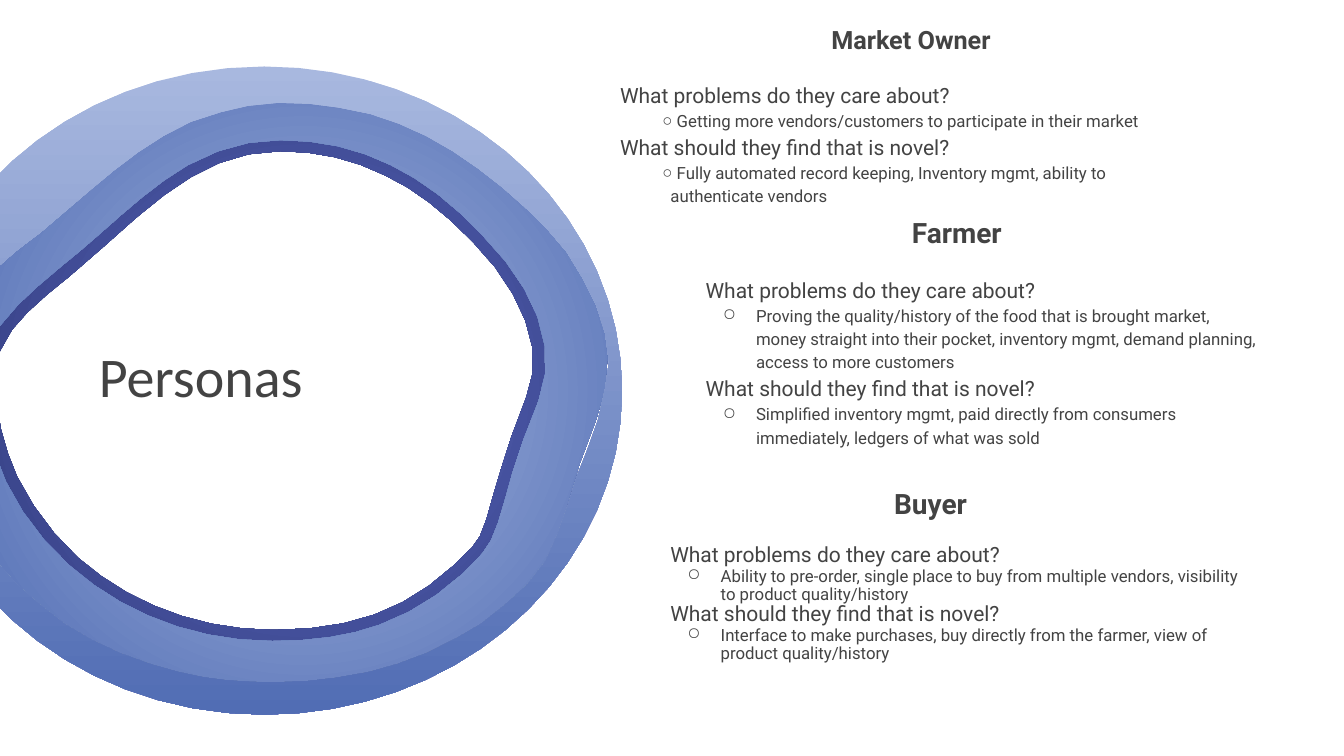
import math

import pptx
import pptx.util
import pptx.dml.color
import pptx.enum.text
import pptx.oxml
import pptx.oxml.ns
from lxml import etree

INCHES = pptx.util.Inches
INK = "434343"
LEFT_EDGE = -0.01
CURVE_STEP = 0.36

BAND_OUTER = [
    (LEFT_EDGE, 2.41), (0.08, 2.34), (0.23, 2.21, 0.39, 2.08, 0.55, 1.94),
    (1.18, 1.36, 1.82, 0.84, 2.78, 0.84), (3.83, 0.84, 4.61, 1.3, 5.25, 1.96),
    (5.78, 2.52, 6.25, 3.33, 5.91, 4.17), (5.45, 5.3, 5.65, 5.51, 5.02, 6.09),
    (4.39, 6.66, 3.67, 6.91, 2.7, 6.91), (1.75, 6.91, 0.89, 6.57, 0.26, 6),
    (0.18, 5.93, 0.1, 5.86, 0.03, 5.78), (LEFT_EDGE, 5.73)]
DARK_INNER = [
    (LEFT_EDGE, 4.14), (0.01, 4.26), (0.05, 4.42, 0.1, 4.58, 0.17, 4.73),
    (0.32, 5.03, 0.52, 5.3, 0.77, 5.53), (1.29, 5.99, 1.98, 6.25, 2.71, 6.25),
    (3.48, 6.25, 4.01, 6.06, 4.5, 5.61), (4.67, 5.46, 4.73, 5.38, 4.76, 5.32),
    (4.81, 5.22, 4.84, 5.1, 4.89, 4.92), (4.96, 4.69, 5.04, 4.38, 5.22, 3.94),
    (5.32, 3.7, 5.31, 3.45, 5.21, 3.18), (5.11, 2.92, 4.94, 2.65, 4.69, 2.4),
    (4.4, 2.1, 4.12, 1.88, 3.82, 1.74), (3.5, 1.58, 3.16, 1.5, 2.78, 1.5),
    (2.12, 1.5, 1.65, 1.88, 1.07, 2.41), (0.94, 2.53, 0.81, 2.63, 0.69, 2.74),
    (0.45, 2.93, 0.25, 3.1, 0.12, 3.27), (0.06, 3.35, 0.02, 3.42, LEFT_EDGE, 3.5)]
LIGHT_INNER = [
    (LEFT_EDGE, 4.6), (0.06, 4.78), (0.21, 5.09, 0.42, 5.37, 0.69, 5.61),
    (1.23, 6.09, 1.94, 6.36, 2.7, 6.36), (3.11, 6.36, 3.46, 6.31, 3.76, 6.2),
    (4.06, 6.09, 4.33, 5.93, 4.59, 5.69), (4.77, 5.53, 4.83, 5.43, 4.87, 5.36),
    (4.92, 5.26, 4.96, 5.13, 5.01, 4.95), (5.07, 4.72, 5.16, 4.41, 5.34, 3.98),
    (5.44, 3.72, 5.44, 3.44, 5.33, 3.14), (5.23, 2.87, 5.04, 2.59, 4.78, 2.33),
    (4.49, 2.02, 4.19, 1.79, 3.88, 1.64), (3.54, 1.47, 3.18, 1.39, 2.78, 1.39),
    (2.46, 1.39, 2.17, 1.47, 1.86, 1.64), (1.55, 1.82, 1.26, 2.08, 0.98, 2.33),
    (0.85, 2.44, 0.73, 2.55, 0.6, 2.65), (0.36, 2.85, 0.16, 3.02, 0.02, 3.21),
    (LEFT_EDGE, 3.25)]
DISC_OUTER = [
    (LEFT_EDGE, 1.73), (0.12, 1.6), (0.76, 1.02, 1.64, 0.66, 2.62, 0.66),
    (4.58, 0.66, 6.17, 2.1, 6.17, 3.88), (6.17, 5.65, 4.58, 7.09, 2.62, 7.09),
    (1.64, 7.09, 0.76, 6.73, 0.12, 6.15), (LEFT_EDGE, 6.02)]
DISC_INNER = [
    (LEFT_EDGE, 5.6), (0.16, 5.79), (0.64, 6.19), (1.19, 6.48), (1.78, 6.67), (2.25, 6.75),
    (2.72, 6.77), (3.03, 6.76), (3.65, 6.67), (4.23, 6.48), (4.77, 6.19), (5.01, 6),
    (5.23, 5.8), (5.41, 5.57), (5.53, 5.3), (5.63, 5.02), (5.72, 4.73), (5.93, 4.17),
    (6.04, 3.59), (6, 3.3), (5.91, 3.02), (5.62, 2.5), (5.21, 2.06), (4.74, 1.67),
    (4.23, 1.35), (3.67, 1.13), (3.07, 1.03), (2.76, 1.02), (2.46, 1.05), (1.89, 1.21),
    (1.37, 1.51), (0.89, 1.89), (0.41, 2.3), (0.16, 2.49), (LEFT_EDGE, 2.64)]

PROBLEMS = "What problems do they care about?"
NOVEL = "What should they find that is novel?"


def color(value):
    """Turn a hex string into a colour."""
    return pptx.dml.color.RGBColor.from_string(value)


def smooth(anchors):
    """Join anchors with cubic segments whose tangents follow the neighbours."""
    padded = [anchors[0], *anchors, anchors[-1]]
    segments = [anchors[0]]
    for before, start, end, after in zip(padded, padded[1:], padded[2:], padded[3:]):
        leave = [s + (e - b) / 6 for b, s, e in zip(before, start, end)]
        arrive = [e - (a - s) / 6 for s, e, a in zip(start, end, after)]
        segments.append((*leave, *arrive, *end))
    return segments


def trace(segments):
    """Turn straight and cubic segments into points spaced by the curve step."""
    points = []
    for segment in segments:
        if len(segment) == 2:
            points.append(segment)
            continue
        corners = [points[-1], segment[:2], segment[2:4], segment[4:]]
        length = sum(math.dist(a, b) for a, b in zip(corners, corners[1:]))
        steps = math.ceil(length / CURVE_STEP)
        for step in range(1, steps + 1):
            t = step / steps
            weights = ((1 - t) ** 3, 3 * t * (1 - t) ** 2, 3 * t * t * (1 - t), t ** 3)
            points.append(tuple(sum(w * c[axis] for w, c in zip(weights, corners))
                                for axis in (0, 1)))
    return points


def add_gradient(shape, stops, angle):
    """Fill a shape with evenly spread colours; no angle means circular."""
    shape.fill.gradient()
    gradient = shape._element.spPr.find(pptx.oxml.ns.qn("a:gradFill"))
    gradient.clear()
    gradient.set("rotWithShape", "1")

    def child(parent, tag, **attributes):
        return etree.SubElement(parent, pptx.oxml.ns.qn("a:" + tag), **attributes)

    stop_list = child(gradient, "gsLst")
    for position, value in zip((0, 100000), stops):
        stop = child(stop_list, "gs", pos=str(position))
        child(stop, "srgbClr", val=value)
    if angle is None:
        circle = child(gradient, "path", path="circle")
        child(circle, "fillToRect", l="50000", t="50000", r="50000", b="50000")
    else:
        child(gradient, "lin", ang=str(angle * 60000), scaled="0")


def add_ring(page, segments, stops, angle=None):
    """Draw one closed ring."""
    points = [(INCHES(x), INCHES(y)) for x, y in trace(segments)]
    builder = page.shapes.build_freeform(*points[0])
    builder.add_line_segments(points[1:], close=True)
    ring = builder.convert_to_shape()
    ring.shadow.inherit = False
    ring.line.fill.background()
    add_gradient(ring, stops, angle)


def add_rings(page):
    """Draw the layered rings around the title."""
    pale_to_blue = ("A8B8DF", "516DB4")
    add_ring(page, BAND_OUTER + DARK_INNER, ("5D6CC9", "2F3875"))
    add_ring(page, BAND_OUTER + LIGHT_INNER, pale_to_blue)
    add_ring(page, DISC_OUTER + smooth(DISC_INNER), pale_to_blue, 90)


def place(shape, box, anchor):
    """Move a text shape to its box and return its frame."""
    shape.left, shape.top, shape.width, shape.height = (INCHES(value) for value in box)
    frame = shape.text_frame
    frame.word_wrap = True
    frame.auto_size = pptx.enum.text.MSO_AUTO_SIZE.NONE
    frame.vertical_anchor = anchor
    return frame


def write(para, text, size, spacing, font="Roboto", bold=False, centered=False,
          margin=0, hanging=0, after=0, bullet=False):
    """Write one formatted paragraph."""
    align = pptx.enum.text.PP_ALIGN
    para.alignment = align.CENTER if centered else align.LEFT
    para.level = 1 if bullet else 0
    para.line_spacing = spacing
    para.space_before, para.space_after = pptx.util.Pt(0), pptx.util.Pt(after)
    properties = para._p.get_or_add_pPr()
    properties.set("marL", str(INCHES(margin)))
    properties.set("indent", str(INCHES(-hanging)))
    if bullet:
        tint = etree.SubElement(properties, pptx.oxml.ns.qn("a:buClr"))
        etree.SubElement(tint, pptx.oxml.ns.qn("a:srgbClr"), val=INK)
        etree.SubElement(properties, pptx.oxml.ns.qn("a:buChar"), char="○")
    else:
        etree.SubElement(properties, pptx.oxml.ns.qn("a:buNone"))
    span = para.add_run()
    span.text = text
    span.font.name, span.font.size, span.font.bold = font, pptx.util.Pt(size), bold
    span.font.color.rgb = color(INK)


def add_persona(shape, box, name, size, answers, spacing, margin, hanging, anchor):
    """Write a persona heading and its two answered questions."""
    frame = place(shape, box, anchor)
    write(frame.paragraphs[0], name, size, 0.9, bold=True, centered=True, after=17)
    for question, answer in zip((PROBLEMS, NOVEL), answers):
        write(frame.add_paragraph(), question, 15, spacing, margin=margin)
        write(frame.add_paragraph(), answer, 12, spacing, margin=margin + 0.5,
              hanging=hanging, bullet=True)


def add_title(shape, box):
    """Write the slide title."""
    frame = place(shape, box, pptx.enum.text.MSO_ANCHOR.MIDDLE)
    write(frame.paragraphs[0], "Personas", 40, 0.9, font="Calibri")


def main():
    """Build and save the personas slide."""
    deck = pptx.Presentation()
    deck.slide_width, deck.slide_height = INCHES(13.33), INCHES(7.5)
    page = deck.slides.add_slide(deck.slide_layouts[1])
    page.background.fill.solid()
    page.background.fill.fore_color.rgb = color("FFFFFF")
    title, body = page.shapes.title, page.placeholders[1]
    add_rings(page)
    for shape in (title, body):
        page.shapes._spTree.append(shape._element)
    add_title(title, (0.88, 2.25, 4.01, 3.02))
    anchors = pptx.enum.text.MSO_ANCHOR
    add_persona(body, (6.05, 0.19, 5.97, 1.94), "Market Owner", 18, (
        " Getting more vendors/customers to participate in their market",
        " Fully automated record keeping, Inventory mgmt, ability to authenticate vendors",
    ), 1.15, 0, 0.08, anchors.MIDDLE)
    for name, box, spacing, answers in (
        ("Farmer", (6.4, 2.13, 6.18, 2.43), 1.15, (
            "Proving the quality/history of the food that is brought market, money straight "
            "into their pocket, inventory mgmt, demand planning, access to more customers",
            "Simplified inventory mgmt, paid directly from consumers immediately, "
            "ledgers of what was sold")),
        ("Buyer", (6.05, 4.82, 6.36, 2.14), 0.9, (
            "Ability to pre-order, single place to buy from multiple vendors, "
            "visibility to product quality/history",
            "Interface to make purchases, buy directly from the farmer, "
            "view of product quality/history")),
    ):
        shape = page.shapes.add_textbox(0, 0, 0, 0)
        add_persona(shape, box, name, 20, answers, spacing, 0.5, 0.33, anchors.TOP)
    deck.save("out.pptx")


if __name__ == "__main__":
    main()
